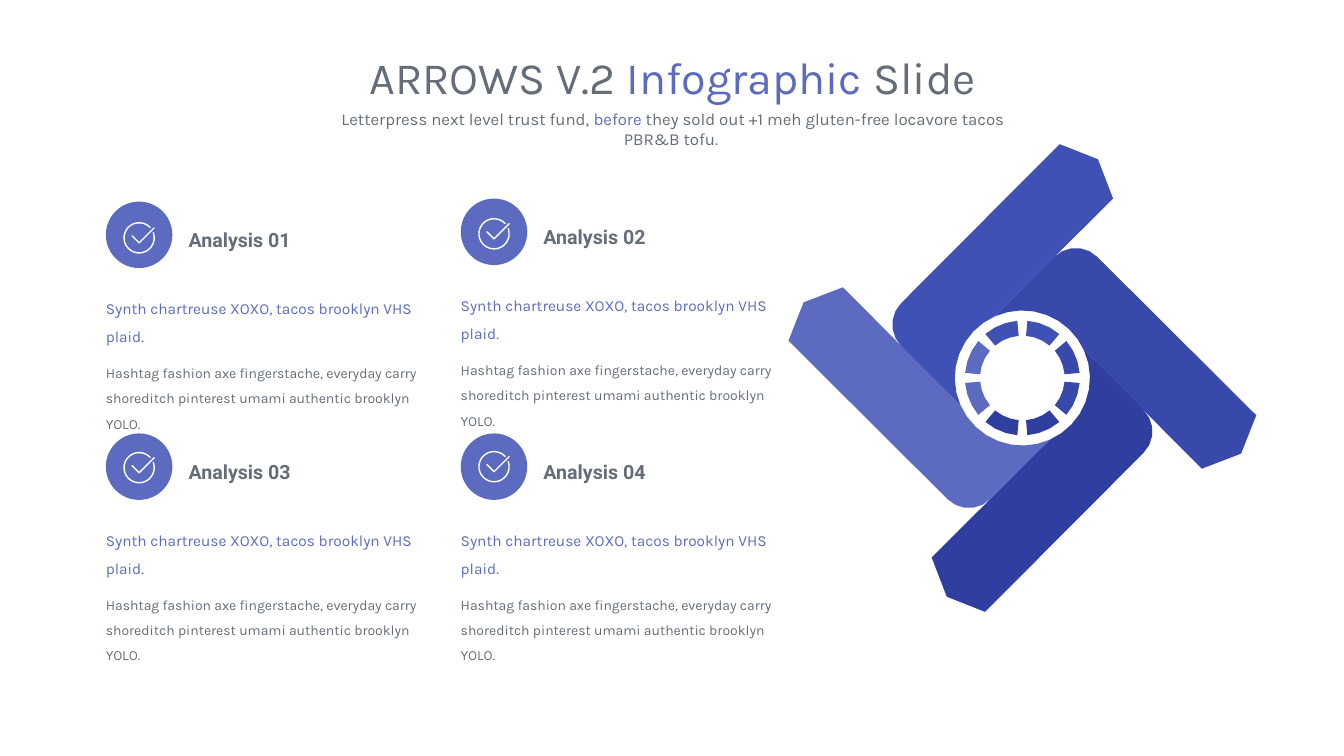
from math import cos, radians, sin

from lxml.etree import SubElement
from pptx import Presentation
from pptx.dml.color import RGBColor
from pptx.enum.shapes import MSO_SHAPE as Preset
from pptx.enum.text import MSO_ANCHOR as Anchor, MSO_AUTO_SIZE as AutoSize, PP_ALIGN as Align
from pptx.oxml.ns import qn
from pptx.util import Inches, Pt

GRAY = RGBColor(0x65, 0x6D, 0x78)
WHITE = RGBColor(0xFF, 0xFF, 0xFF)
INDIGO = RGBColor(0x5C, 0x6B, 0xC0)
# Right, bottom, left and top arms of the pinwheel
ARM_COLORS = [RGBColor(0x39, 0x49, 0xAB), RGBColor(0x30, 0x3F, 0x9F),
              INDIGO, RGBColor(0x3F, 0x51, 0xB5)]
CENTER_X, CENTER_Y = 10.14, 3.75


def arc(x, y, radius, start, end, steps):
    """Points on a circle, angles in degrees, clockwise from the right."""
    angles = [radians(start + (end - start) * step / steps) for step in range(steps + 1)]
    return [(x + radius * cos(angle), y + radius * sin(angle)) for angle in angles]


def add_outline(contours, closed=True):
    """Freeform made of one or more contours given in inches."""
    builder = None
    for contour in contours:
        points = [(Inches(x), Inches(y)) for x, y in contour]
        if builder is None:
            builder = slide.shapes.build_freeform(*points[0])
        else:
            builder.move_to(*points[0])
        builder.add_line_segments(points[1:], close=closed)
    shape = builder.convert_to_shape()
    shape.shadow.inherit = False
    return shape


presentation = Presentation()
presentation.slide_width = Inches(13.33)
presentation.slide_height = Inches(7.5)
slide = presentation.slides.add_slide(presentation.slide_layouts[5])

# Title and subtitle
title = slide.shapes.title
title.left, title.top, title.width, title.height = (
    Inches(2.54), Inches(0.44), Inches(8.26), Inches(0.64))
subtitle = slide.shapes.add_textbox(Inches(3.2), Inches(1.03), Inches(6.95), Inches(0.3))
headings = [
    (title, 32, ["ARROWS V.2 ", "Infographic ", "Slide"]),
    (subtitle, 12, ["Letterpress next level trust fund, ", "before",
                    " they sold out +1 meh gluten-free locavore tacos PBR&B tofu. "]),
]
for box, size, parts in headings:
    frame = box.text_frame
    frame.word_wrap = True
    frame.auto_size = AutoSize.NONE
    frame.vertical_anchor = Anchor.TOP
    paragraph = frame.paragraphs[0]
    paragraph.alignment = Align.CENTER
    paragraph.font.name = "Karla"
    paragraph.font.size = Pt(size)
    for text, color in zip(parts, [GRAY, INDIGO, GRAY]):
        run = paragraph.add_run()
        run.text = text
        run.font.color.rgb = color

# Right arm and its two ring segments, relative to the pinwheel centre
arm = [(2.32, 0.37), (2.17, 0.75), (1.78, 0.9),
       *arc(0, 0, 0.67, -24, -114, 8),
       *arc(0.53, -0.99, 0.3, -135, -45, 5)]
segments = [arc(0, 0, 0.57, start, start + 35, 3) + arc(0, 0, 0.42, start + 35, start, 3)
            for start in (-40, 5)]

# Pinwheel: the same parts turned a quarter each time
for turn, color in enumerate(ARM_COLORS):
    for part in [arm, *segments]:
        points = part
        for _ in range(turn):
            points = [(-y, x) for x, y in points]
        shape = add_outline([[(CENTER_X + x, CENTER_Y + y) for x, y in points]])
        shape.fill.solid()
        shape.fill.fore_color.rgb = color
        shape.line.fill.background()

# Analysis cards: name, left, top, height of the icon's centre
cards = [("Analysis 01", 1.05, 2, 2.36), ("Analysis 02", 4.57, 1.97, 2.32),
         ("Analysis 03", 1.05, 4.3, 4.64), ("Analysis 04", 4.57, 4.3, 4.63)]
body = [("Synth chartreuse XOXO, tacos brooklyn VHS plaid.", 11, INDIGO),
        ("Hashtag fashion axe fingerstache, everyday carry shoreditch pinterest "
         "umami authentic brooklyn YOLO.", 10, GRAY)]
for name, left, top, icon_y in cards:
    # Badge
    badge = slide.shapes.add_shape(
        Preset.ROUNDED_RECTANGLE, Inches(left), Inches(top), Inches(0.66), Inches(0.66))
    badge.adjustments[0] = 0.5
    badge.shadow.inherit = False
    badge.fill.solid()
    badge.fill.fore_color.rgb = INDIGO
    badge.line.fill.background()

    # Heading and body
    heading_box = slide.shapes.add_textbox(
        Inches(left + 0.82), Inches(top + 0.2), Inches(1.93), Inches(0.28))
    body_box = slide.shapes.add_textbox(
        Inches(left), Inches(top + 0.88), Inches(3.1), Inches(0.87))
    for box in (heading_box, body_box):
        frame = box.text_frame
        frame.word_wrap = True
        frame.margin_left = frame.margin_right = frame.margin_top = frame.margin_bottom = 0

    heading_box.text_frame.vertical_anchor = Anchor.MIDDLE
    heading = heading_box.text_frame.paragraphs[0]
    heading.text = name
    heading.line_spacing = 1.3
    heading.font.name = "Roboto"
    heading.font.size = Pt(14)
    heading.font.bold = True
    heading.font.color.rgb = GRAY

    body_frame = body_box.text_frame
    body_frame.text = "\n".join(text for text, _, _ in body)
    for paragraph, (_, size, color) in zip(body_frame.paragraphs, body):
        paragraph.line_spacing = 1.5
        paragraph.space_before = Pt(7.5)
        paragraph.font.name = "Karla"
        paragraph.font.size = Pt(size)
        paragraph.font.color.rgb = color

    # Check mark in an open ring
    icon_x = left + 0.33
    check = [(icon_x - 0.07, icon_y - 0.02), (icon_x, icon_y + 0.05),
             (icon_x + 0.15, icon_y - 0.1)]
    icon = add_outline([arc(icon_x, icon_y, 0.15, -20, 317, 24), check], closed=False)
    icon.fill.background()
    icon.line.color.rgb = WHITE
    icon.line.width = Pt(1)
    icon.line._ln.set("cap", "rnd")
    SubElement(icon.line._ln, qn("a:round"))

presentation.save("out.pptx")
